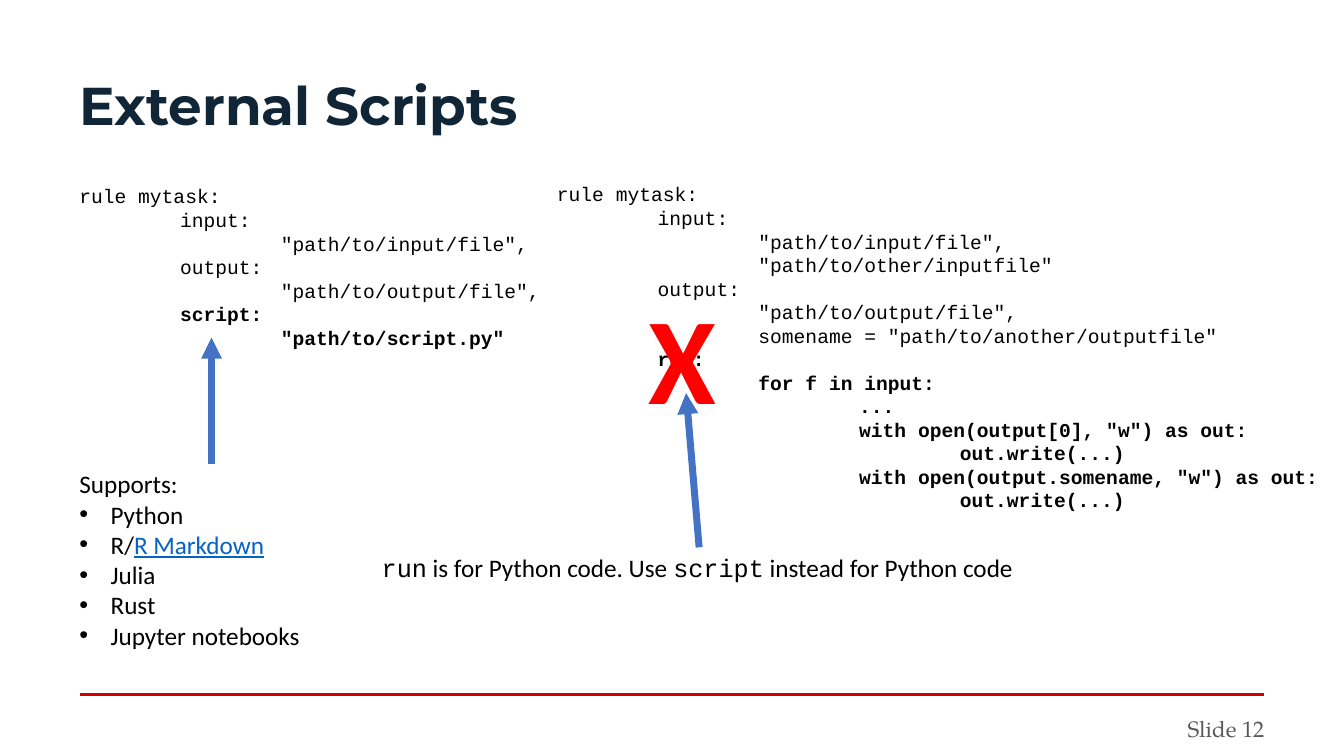
from lxml.etree import SubElement
from pptx import Presentation
from pptx.dml.color import RGBColor
from pptx.enum.shapes import MSO_CONNECTOR
from pptx.enum.text import MSO_AUTO_SIZE as AutoSize, PP_ALIGN as Align
from pptx.oxml.ns import qn
from pptx.util import Inches, Pt

SANS, MONO, HEADING, FOOTER = "Calibri", "Courier New", "Montserrat", "TeX Gyre Pagella"
BLACK, NAVY, GREY, RED, RULE_RED = "000000", "102535", "595959", "FF0000", "D40000"
ARROW_BLUE, LINK_BLUE = "4472C4", "0563C1"

# Code lines: (depth, text); the last block of each rule is bold
SCRIPT_RULE = [
    (0, "rule mytask:"),
    (1, "input:"),
    (2, '"path/to/input/file",'),
    (1, "output:"),
    (2, '"path/to/output/file",'),
    (1, "script:"),
    (2, '"path/to/script.py"'),
]
RUN_RULE = [
    (0, "rule mytask:"),
    (1, "input:"),
    (2, '"path/to/input/file",'),
    (2, '"path/to/other/inputfile"'),
    (1, "output:"),
    (2, '"path/to/output/file",'),
    (2, 'somename = "path/to/another/outputfile"'),
    (1, "run:"),
    (2, "for f in input:"),
    (3, "..."),
    (3, 'with open(output[0], "w") as out:'),
    (4, "out.write(...)"),
    (3, 'with open(output.somename, "w") as out:'),
    (4, "out.write(...)"),
]
BOLD_STARTS = ("script:", "run:")
LANGUAGES = ["Python", "R/", "Julia", "Rust", "Jupyter notebooks"]
LINKED = {"R/": "R Markdown"}
ADVICE = [("run", MONO), (" is for Python code. Use ", SANS),
          ("script", MONO), (" instead for Python code", SANS)]

# Places are percentages of the slide's width and height
MARGIN, TEXT_LEFT = 5.92, 5.17
CONTENT_WIDTH = 100 - 2 * MARGIN
NUMBER_WIDTH = 19.72
LIST_TOP, ADVICE_TOP = 61.33, 72.4
CODE_STEP, BULLET_STEP = Inches(1), Inches(0.31)

deck = Presentation()
deck.slide_width, deck.slide_height = Inches(13.34), Inches(7.5)
slide = deck.slides.add_slide(deck.slide_layouts[6])


def across(share):
    return round(deck.slide_width * share / 100)


def down(share):
    return round(deck.slide_height * share / 100)


def color(value):
    return RGBColor.from_string(value)


def add_frame(left, top, width, height, inset=True, wrap=True):
    frame = slide.shapes.add_textbox(across(left), down(top), across(width), down(height)).text_frame
    frame.word_wrap = wrap
    if inset:
        frame.auto_size = AutoSize.SHAPE_TO_FIT_TEXT
    else:
        frame.margin_left = frame.margin_right = frame.margin_top = frame.margin_bottom = 0
    return frame


def add_line(frame, text, size, face, ink=BLACK, bold=False):
    """Write text in the frame's next paragraph, using the empty first one if it is free."""
    first = frame.paragraphs[0]
    line = frame.add_paragraph() if first.runs else first
    line.add_run().text = text
    font = line.font
    font.size, font.name, font.bold = Pt(size), face, bold
    font.color.rgb = color(ink)
    return line


def indent(line, left, first=0):
    """Set the left margin and first-line offset; return the paragraph properties."""
    properties = line._p.get_or_add_pPr()
    properties.set("marL", str(left))
    properties.set("indent", str(first))
    return properties


def add_code(rule, *place):
    frame = add_frame(*place)
    bold = False
    for depth, text in rule:
        bold = bold or text in BOLD_STARTS
        indent(add_line(frame, text, 14, MONO, bold=bold), depth * CODE_STEP)


def add_bullet(line):
    properties = indent(line, BULLET_STEP, -BULLET_STEP)
    for tag, attributes in (("a:buFont", {"typeface": "Arial"}), ("a:buChar", {"char": "•"})):
        part = properties.makeelement(qn(tag), attributes)
        properties.insert_element_before(part, "a:tabLst", "a:defRPr", "a:extLst")


def add_rule(start, end, ink, weight, arrow=False):
    connector = slide.shapes.add_connector(
        MSO_CONNECTOR.STRAIGHT, across(start[0]), down(start[1]), across(end[0]), down(end[1]))
    connector.line.color.rgb = color(ink)
    connector.line.width = Pt(weight)
    if arrow:
        SubElement(connector.line._get_or_add_ln(), qn("a:tailEnd"), type="triangle")
    SubElement(connector._element.spPr, qn("a:effectLst"))


add_rule((MARGIN, 91.87), (100 - MARGIN, 91.87), RULE_RED, 2.5)

title = add_line(add_frame(MARGIN, 10.53, CONTENT_WIDTH, 15.73, inset=False),
                 "External Scripts", 38, HEADING, NAVY, bold=True)
title.line_spacing = 0.9

number = add_line(add_frame(100 - MARGIN - NUMBER_WIDTH, 94.53, NUMBER_WIDTH, 2.67, inset=False),
                  "Slide 12", 16, FOOTER, GREY)
number.alignment = Align.RIGHT

add_code(SCRIPT_RULE, TEXT_LEFT, 23.73, 37.18, 23.33)

supports = add_frame(TEXT_LEFT, LIST_TOP, 21.14, 25.6)
add_line(supports, "Supports:", 18, SANS)
for language in LANGUAGES:
    item = add_line(supports, language, 18, SANS)
    add_bullet(item)
    if language in LINKED:
        link = item.add_run()
        link.text = LINKED[language]
        link.font.underline = True
        link.font.color.rgb = color(LINK_BLUE)

add_rule((15.74, LIST_TOP), (15.74, 44.67), ARROW_BLUE, 5, arrow=True)

add_code(RUN_RULE, 40.7, 23.47, 58.77, 45.33)

advice = add_frame(27.66, ADVICE_TOP, 48.8, 5.33).paragraphs[0]
advice.font.size = Pt(18)
advice.font.color.rgb = color(BLACK)
for words, face in ADVICE:
    part = advice.add_run()
    part.text = words
    part.font.name = face

add_rule((52.02, ADVICE_TOP), (51.05, 52), ARROW_BLUE, 5, arrow=True)

add_line(add_frame(47.53, 36.53, 6.6, 21.07, wrap=False), "X", 88, SANS, RED, bold=True)

deck.save("out.pptx")
